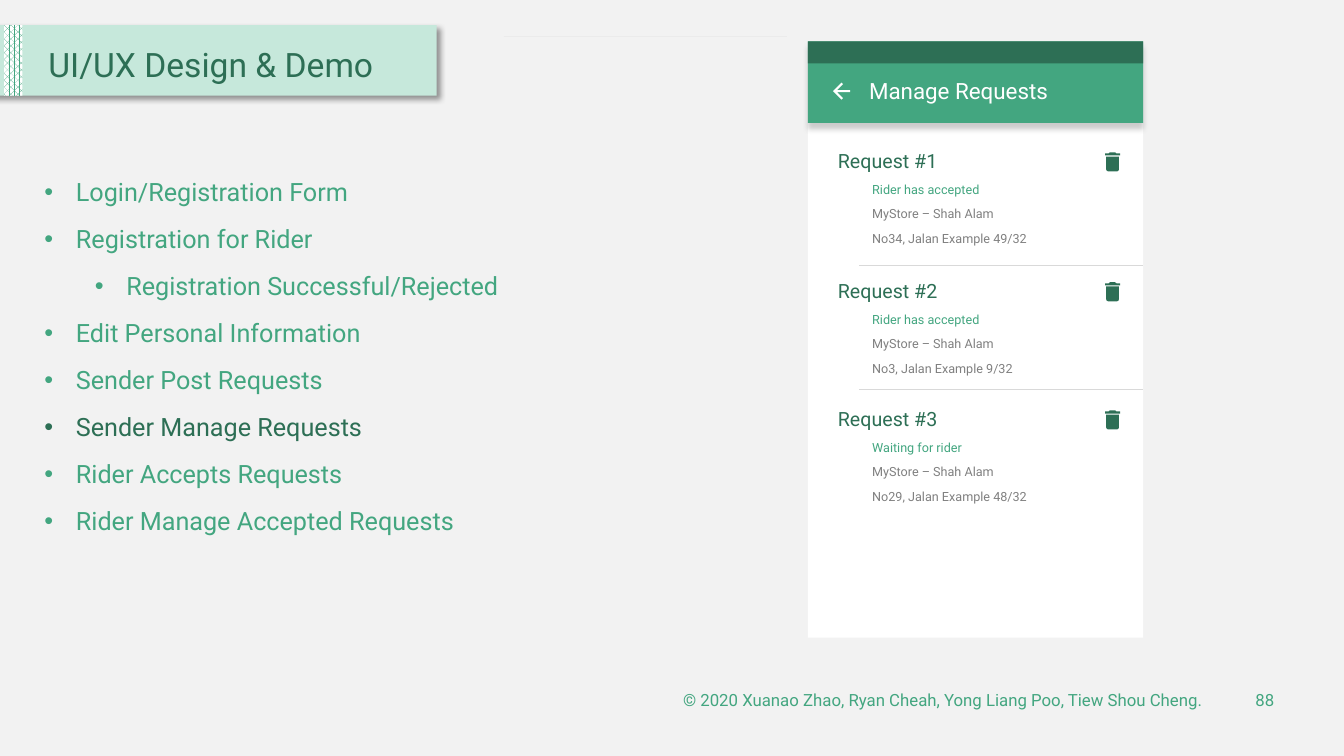
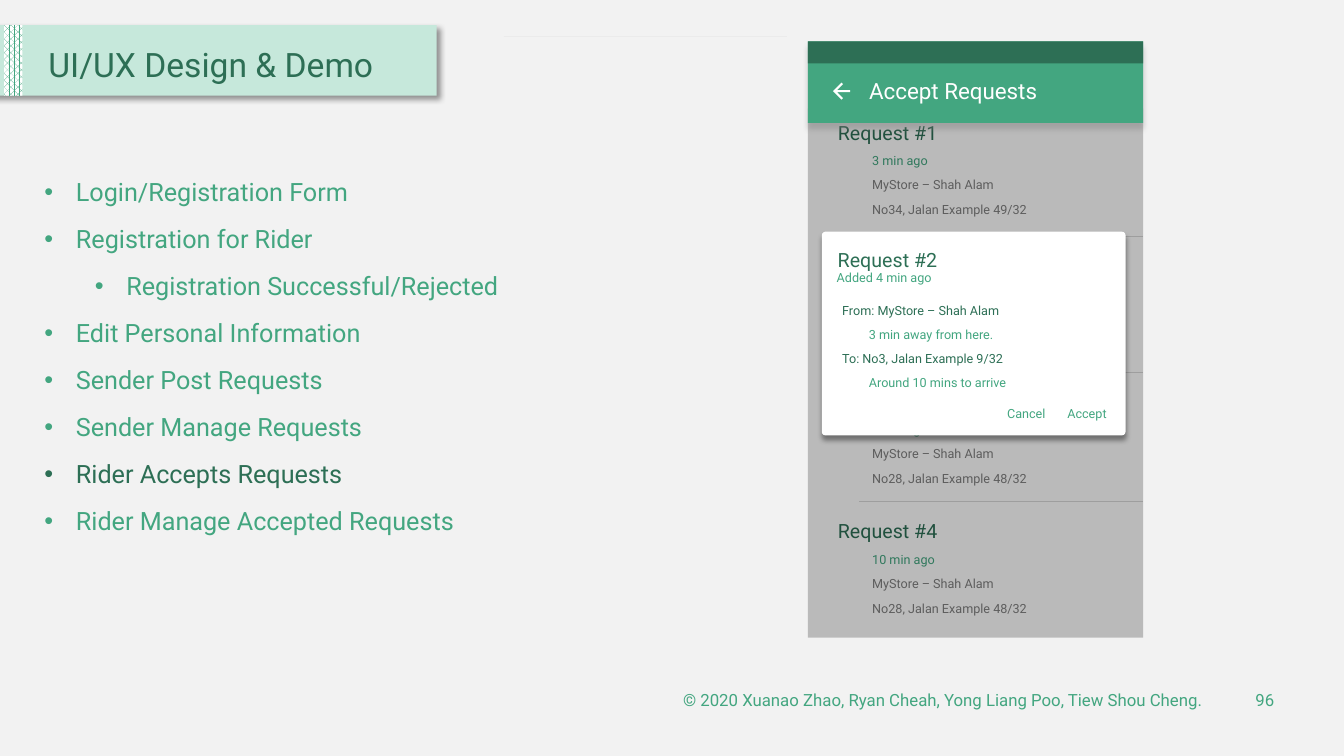
from dataclasses import dataclass

from lxml import etree
from pptx import Presentation
from pptx.dml.color import RGBColor
from pptx.enum.dml import MSO_PATTERN
from pptx.enum.shapes import MSO_CONNECTOR, MSO_SHAPE
from pptx.enum.text import MSO_ANCHOR, MSO_AUTO_SIZE, PP_ALIGN
from pptx.oxml.ns import qn
from pptx.util import Pt

RECTANGLE = MSO_SHAPE.RECTANGLE
ROUNDED = MSO_SHAPE.ROUNDED_RECTANGLE
STRAIGHT = MSO_CONNECTOR.STRAIGHT
DOTS = MSO_PATTERN.PERCENT_70
LEFT, RIGHT = PP_ALIGN.LEFT, PP_ALIGN.RIGHT
TOP, MIDDLE = MSO_ANCHOR.TOP, MSO_ANCHOR.MIDDLE
FIXED = MSO_AUTO_SIZE.NONE


@dataclass(frozen=True)
class Theme:
    """Colours, font and type sizes of the deck."""
    background: str = "F2F2F2"
    mint: str = "C6E8DB"
    green: str = "43A680"
    dark: str = "2D6F55"
    white: str = "FFFFFF"
    grey: str = "808080"
    rule: str = "D9D9D9"
    faint: str = "EBEBEB"
    black: str = "000000"
    font: str = "Roboto"
    title: int = 24
    body: int = 18
    bar: int = 16
    heading: int = 14
    footer: int = 12
    detail: int = 9


@dataclass(frozen=True)
class Box:
    """A rectangle in points."""
    left: float
    top: float
    width: float
    height: float

    def inner(self, left, top, width, height):
        """Return a box placed relative to this one."""
        return Box(self.left + left, self.top + top, width, height)

    def lengths(self):
        """Return left, top, width and height as lengths."""
        return [Pt(value) for value in (self.left, self.top, self.width, self.height)]


THEME = Theme()
BAND = Box(-15, 18, 327, 50.4)
TITLE = Box(27.4, 25.9, 285, 43.2)
TOPICS_BOX = Box(24.5, 122.4, 346, 266)
FOOTER = Box(391.7, 485.3, 525.6, 28.8)
PHONE = Box(577, 29.5, 239.5, 426)
ICON_SCALE = 0.76
STEPS = 100
COPYRIGHT = "© 2020 Xuanao Zhao, Ryan Cheah, Yong Liang Poo, Tiew Shou Cheng."
STORE = "MyStore – Shah Alam"
TOPICS = [
    ("Login/Registration Form", 0),
    ("Registration for Rider", 0),
    ("Registration Successful/Rejected", 1),
    ("Edit Personal Information", 0),
    ("Sender Post Requests", 0),
    ("Sender Manage Requests", 0),
    ("Rider Accepts Requests", 0),
    ("Rider Manage Accepted Requests", 0),
]
ARROW = [[(16, 7), (3.83, 7), (9.42, 1.41), (8, 0), (0, 8), (8, 16),
          (9.42, 14.59), (3.83, 9), (16, 9)]]
TRASH = [
    [(1, 16), (1.6, 17.4), (3, 18), (11, 18), (12.4, 17.4), (13, 16), (13, 4), (1, 4)],
    [(14, 1), (10.5, 1), (9.5, 0), (4.5, 0), (3.5, 1), (0, 1), (0, 3), (14, 3)],
]
MANAGED = [
    (73.5, "Request #1", "Rider has accepted", "No34, Jalan Example 49/32"),
    (166.3, "Request #2", "Rider has accepted", "No3, Jalan Example 9/32"),
    (257.8, "Request #3", "Waiting for rider", "No29, Jalan Example 48/32"),
]
OPEN = [
    (53, "Request #1", "3 min ago", "No34, Jalan Example 49/32"),
    (245, None, "7 min ago", "No28, Jalan Example 48/32"),
    (337.5, "Request #4", "10 min ago", "No28, Jalan Example 48/32"),
]


def rgb(color):
    """Turn a hex string into a colour."""
    return RGBColor.from_string(color)


def format_paragraph(paragraph, size, color):
    """Apply the deck font to a paragraph's runs."""
    for run in paragraph.runs:
        run.font.name = THEME.font
        run.font.size = Pt(size)
        run.font.color.rgb = rgb(color)


def set_alpha(color_element, percent):
    """Give a colour element an opacity."""
    etree.SubElement(color_element, qn("a:alpha"), val=str(percent * 1000))


def add_shadow(shape, angle, color=THEME.black, distance=3):
    """Give a shape a soft outer shadow."""
    effects = shape._element.spPr.find(qn("a:effectLst"))
    shadow = etree.SubElement(effects, qn("a:outerShdw"), blurRad=str(Pt(4)),
                              dist=str(Pt(distance)), dir=str(angle * 60000),
                              algn="t", rotWithShape="0")
    set_alpha(etree.SubElement(shadow, qn("a:srgbClr"), val=color), 40)


def finish_shape(shape, color):
    """Fill a shape and remove its outline and shadow."""
    shape.shadow.inherit = False
    shape.fill.solid()
    shape.fill.fore_color.rgb = rgb(color)
    shape.line.fill.background()
    return shape


def add_panel(slide, box, color, preset=RECTANGLE):
    """Add a plain filled shape."""
    return finish_shape(slide.shapes.add_shape(preset, *box.lengths()), color)


def add_text(slide, box, text, size, color, align=LEFT, anchor=TOP):
    """Add a one-paragraph text box."""
    frame = slide.shapes.add_textbox(*box.lengths()).text_frame
    frame.word_wrap = True
    frame.vertical_anchor = anchor
    paragraph = frame.paragraphs[0]
    paragraph.text = text
    paragraph.alignment = align
    format_paragraph(paragraph, size, color)


def add_rule(slide, left, right, y, color=THEME.rule):
    """Add a thin horizontal line."""
    line = slide.shapes.add_connector(STRAIGHT, Pt(left), Pt(y), Pt(right), Pt(y))
    line.line.color.rgb = rgb(color)
    line.line.width = Pt(0.5)
    etree.SubElement(line._element.spPr, qn("a:effectLst"))


def add_icon(slide, left, top, contours, color):
    """Draw an icon from closed contours."""
    scaled = [[(x * STEPS, y * STEPS) for x, y in contour] for contour in contours]
    builder = slide.shapes.build_freeform(*scaled[0][0], scale=Pt(ICON_SCALE) / STEPS)
    for index, contour in enumerate(scaled):
        if index:
            builder.move_to(*contour[0])
        builder.add_line_segments(contour[1:], close=True)
    finish_shape(builder.convert_to_shape(Pt(left), Pt(top)), color)


def place_placeholder(placeholder, box, anchor):
    """Move a placeholder and prepare its frame."""
    placeholder.left, placeholder.top, placeholder.width, placeholder.height = box.lengths()
    frame = placeholder.text_frame
    frame.word_wrap = True
    frame.auto_size = FIXED
    frame.vertical_anchor = anchor
    return frame


def add_title(slide, band_box):
    """Place the title on its banded strip."""
    title = slide.shapes.title
    band = add_panel(slide, band_box, THEME.mint)
    add_shadow(band, 45)
    strip = add_panel(slide, band_box.inner(18, 0, 13, band_box.height), THEME.white)
    strip.fill.patterned()
    strip.fill.pattern = DOTS
    strip.fill.fore_color.rgb = rgb(THEME.green)
    strip.fill.back_color.rgb = rgb(THEME.white)
    for shape in (band, strip):
        title._element.addprevious(shape._element)
    paragraph = place_placeholder(title, TITLE, MIDDLE).paragraphs[0]
    paragraph.text = "UI/UX Design & Demo"
    paragraph.alignment = LEFT
    paragraph.line_spacing = 0.9
    format_paragraph(paragraph, THEME.title, THEME.dark)


def add_topics(slide, box, current):
    """Fill the body list and mark the current topic."""
    frame = place_placeholder(slide.placeholders[1], box, TOP)
    frame.text = "\n".join(text for text, _ in TOPICS)
    for index, (paragraph, (text, level)) in enumerate(zip(frame.paragraphs, TOPICS)):
        paragraph.level = level
        properties = paragraph._p.get_or_add_pPr()
        properties.set("marL", str(Pt(22.5 + 36 * level)))
        properties.set("indent", str(Pt(-22.5)))
        etree.SubElement(properties, qn("a:buChar"), char="•")
        paragraph.space_before = Pt(12 if index else 0)
        format_paragraph(paragraph, THEME.body, THEME.dark if text == current else THEME.green)


def add_footer(slide, box, number):
    """Add the copyright line and the page number."""
    for left, width, text in ((0, 474.5, COPYRIGHT), (483, 42.6, number)):
        add_text(slide, box.inner(left, 0, width, box.height), text,
                 THEME.footer, THEME.green, RIGHT, MIDDLE)


def add_app_bar(slide, box, text):
    """Draw the phone's status bar and app bar."""
    bar = add_panel(slide, box, THEME.green)
    add_shadow(bar, 90, THEME.grey, 4)
    add_panel(slide, box.inner(0, 0, box.width, 15.8), THEME.dark)
    add_icon(slide, box.left + 18, box.top + 29.5, ARROW, THEME.white)
    add_text(slide, box.inner(36.7, 21.6, 171, 26.6), text, THEME.bar, THEME.white, anchor=MIDDLE)


def add_request(slide, box, heading, status, address):
    """Write one request of the list."""
    if heading:
        add_text(slide, box.inner(14.4, 0, 145, 24.5), heading, THEME.heading, THEME.dark)
    lines = ((23.5, status, THEME.green), (40.5, STORE, THEME.grey), (58.5, address, THEME.grey))
    for top, text, color in lines:
        add_text(slide, box.inner(38.9, top, 184, 18), text, THEME.detail, color)


def add_screen(slide, box, requests, rules, with_trash):
    """Draw the phone screen with its request list."""
    add_panel(slide, box, THEME.white)
    for y in rules:
        add_rule(slide, box.left + 36.7, box.left + box.width, box.top + y)
    for top, *texts in requests:
        request_box = box.inner(0, top, box.width, 76.5)
        add_request(slide, request_box, *texts)
        if with_trash:
            add_icon(slide, request_box.left + 212.4, request_box.top + 5.8, TRASH, THEME.dark)


def add_dialog(slide, box):
    """Draw the dialog for accepting a request."""
    card = add_panel(slide, box, THEME.white, ROUNDED)
    card.adjustments[0] = 0.018
    add_shadow(card, 90)
    add_text(slide, box.inner(4.3, 8, 145, 24.5), "Request #2", THEME.heading, THEME.dark)
    lines = (
        (3.6, 23.8, "Added 4 min ago", THEME.green),
        (7.5, 47, "From: " + STORE, THEME.dark),
        (26.6, 64.2, "3 min away from here.", THEME.green),
        (7.5, 81.4, "To: No3, Jalan Example 9/32", THEME.dark),
        (26.6, 98.6, "Around 10 mins to arrive", THEME.green),
    )
    for left, top, text, color in lines:
        add_text(slide, box.inner(left, top, 180, 18), text, THEME.detail, color)
    for left, text in ((96.8, "Cancel"), (140.5, "Accept")):
        add_text(slide, box.inner(left, 121, 70, 18), text, THEME.detail, THEME.green, RIGHT)


def add_demo_slide(presentation, current, number):
    """Add a slide with the parts that all slides share."""
    slide = presentation.slides.add_slide(presentation.slide_layouts[1])
    add_title(slide, BAND)
    add_topics(slide, TOPICS_BOX, current)
    add_rule(slide, 360, 562, 25.8, THEME.faint)
    add_footer(slide, FOOTER, number)
    return slide


def add_manage_slide(presentation, box):
    """Add the slide on managing requests."""
    slide = add_demo_slide(presentation, "Sender Manage Requests", "88")
    add_screen(slide, box, MANAGED, (159.9, 248.5), True)
    add_app_bar(slide, box.inner(0, 0, box.width, 58.3), "Manage Requests")


def add_accept_slide(presentation, box):
    """Add the slide on accepting requests."""
    slide = add_demo_slide(presentation, "Rider Accepts Requests", "96")
    add_screen(slide, box, OPEN, (139, 236.2, 328.3), False)
    shade = add_panel(slide, box.inner(0, 48, box.width, box.height - 48), THEME.black)
    set_alpha(shade._element.spPr.find(".//" + qn("a:srgbClr")), 27)
    add_app_bar(slide, box.inner(0, 0, box.width, 58.3), "Accept Requests")
    add_dialog(slide, box.inner(10, 136, 217, 145.5))


def main():
    """Build and save the presentation."""
    presentation = Presentation()
    presentation.slide_width, presentation.slide_height = Pt(960), Pt(540)
    fill = presentation.slide_master.background.fill
    fill.solid()
    fill.fore_color.rgb = rgb(THEME.background)
    add_manage_slide(presentation, PHONE)
    add_accept_slide(presentation, PHONE)
    presentation.save("out.pptx")


if __name__ == "__main__":
    main()
